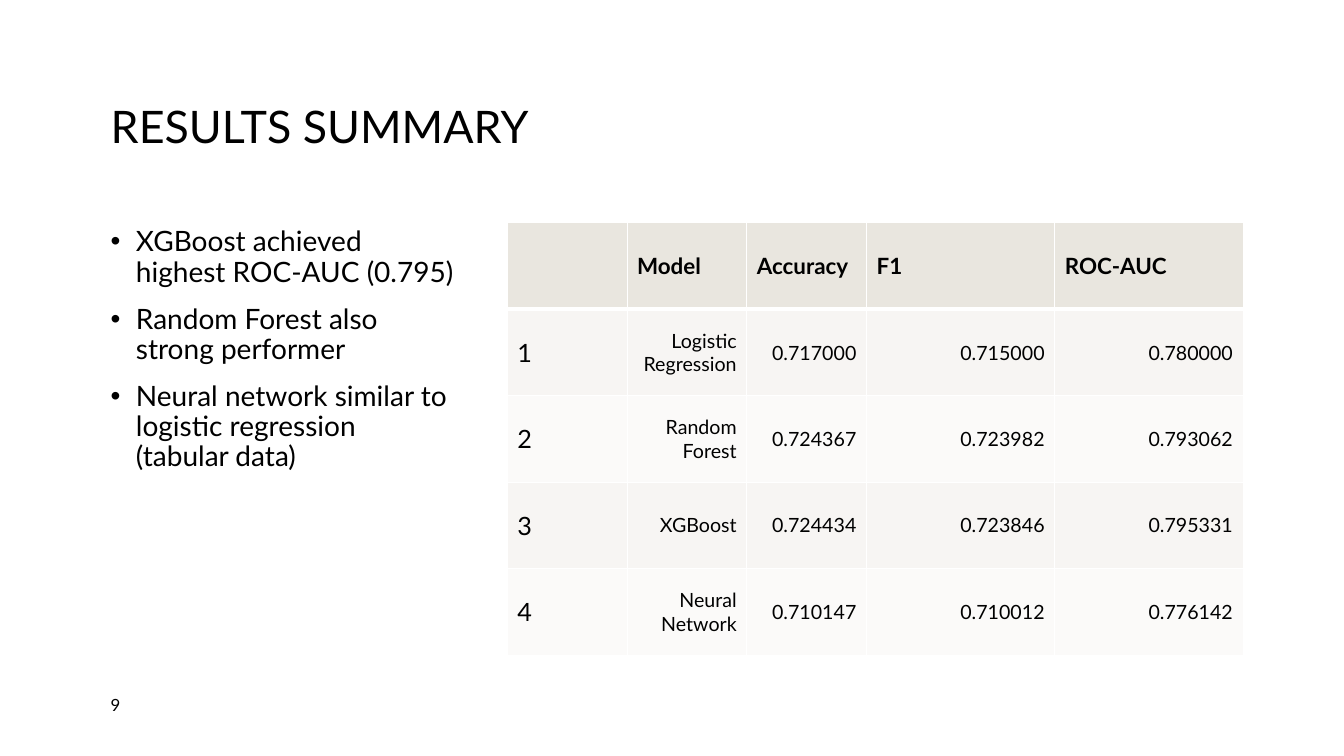
from lxml.etree import SubElement
from pptx import Presentation
from pptx.dml.color import RGBColor
from pptx.enum.text import MSO_ANCHOR, PP_ALIGN
from pptx.oxml.ns import qn
from pptx.util import Inches, Pt

COLORS = {"text": "000000", "line": "FFFFFF", "header": "E9E6DF",
          "odd": "F7F5F3", "even": "FBFAF9"}
RESULTS = [
    ("", "Model", "Accuracy", "F1", "ROC-AUC"),
    ("1", "Logistic Regression", "0.717000", "0.715000", "0.780000"),
    ("2", "Random Forest", "0.724367", "0.723982", "0.793062"),
    ("3", "XGBoost", "0.724434", "0.723846", "0.795331"),
    ("4", "Neural Network", "0.710147", "0.710012", "0.776142"),
]
FINDINGS = [
    "XGBoost achieved highest ROC-AUC (0.795)",
    "Random Forest also strong performer",
    "Neural network similar to logistic regression (tabular data)",
]


class Deck:
    """Holds the style and current slide, measured on a grid of 40 columns by 30 rows."""

    font = "Lato"

    def __init__(self):
        self.prs = Presentation()
        self.prs.slide_width, self.prs.slide_height = Inches(13.33), Inches(7.5)
        self.col, self.row = self.prs.slide_width / 40, self.prs.slide_height / 30
        self.s = self.prs.slides.add_slide(self.prs.slide_layouts[6])

    def box(self, x, y, w, h):
        return int(x * self.col), int(y * self.row), int(w * self.col), int(h * self.row)

    def add_text(self, p, text, size=14, bold=False, align=PP_ALIGN.LEFT,
                 spacing=1.0, after=0, bullet=False):
        if bullet:
            pPr = p._p.get_or_add_pPr()
            pPr.set("marL", str(Inches(0.25)))
            pPr.set("indent", str(Inches(-0.25)))
            SubElement(pPr, qn("a:buFont"), typeface="Arial")
            SubElement(pPr, qn("a:buChar"), char="•")
        p.alignment, p.line_spacing, p.space_after = align, spacing, Pt(after)
        r = p.add_run()
        r.text = text
        r.font.name, r.font.size, r.font.bold = self.font, Pt(size), bold
        r.font.color.rgb = RGBColor.from_string(COLORS["text"])

    def text_box(self, place, lines, anchor=MSO_ANCHOR.MIDDLE, **style):
        tf = self.s.shapes.add_textbox(*self.box(*place)).text_frame
        tf.word_wrap, tf.vertical_anchor = True, anchor
        for i, line in enumerate(lines):
            self.add_text(tf.add_paragraph() if i else tf.paragraphs[0], line, **style)

    def borders(self, cell, **widths):
        tcPr = cell._tc.get_or_add_tcPr()
        for side in "LRTB":
            ln = SubElement(tcPr, qn(f"a:ln{side}"), w=str(Pt(widths.get(side, 1))))
            fill = SubElement(ln, qn("a:solidFill"))
            SubElement(fill, qn("a:srgbClr"), val=COLORS["line"])

    def table(self, place, rows, shares):
        x, y, w, h = self.box(*place)
        table = self.s.shapes.add_table(len(rows), len(shares), x, y, w, h).table
        for column, share in zip(table.columns, shares):
            column.width = int(w * share / sum(shares))
        for i, row in enumerate(rows):
            table.rows[i].height = h // len(rows)
            for j, value in enumerate(row):
                cell = table.cell(i, j)
                self.borders(cell, T=3 if i == 1 else 1, B=1 if i else 3)
                cell.fill.solid()
                shade = "header" if i == 0 else "odd" if i % 2 else "even"
                cell.fill.fore_color.rgb = RGBColor.from_string(COLORS[shade])
                cell.vertical_anchor = MSO_ANCHOR.MIDDLE
                if value:
                    size = 16 if i == 0 else 14 if j else 18
                    align = PP_ALIGN.RIGHT if i and j else PP_ALIGN.LEFT
                    self.add_text(cell.text_frame.paragraphs[0], value,
                                  size=size, bold=i == 0, align=align)


def main():
    deck = Deck()
    deck.text_box((3, 1.6, 34, 7), ["RESULTS SUMMARY"], size=32, spacing=0.9)
    deck.text_box((3, 8.84, 10.83, 17.12), FINDINGS, anchor=MSO_ANCHOR.TOP,
                  size=20, spacing=0.9, after=12, bullet=True)
    deck.table((15.1, 8.84, 21.9, 17.16), RESULTS, (1.19, 1.19, 1.19, 1.87, 1.87))
    deck.text_box((3, 27.32, 2.07, 1.28), ["9"], size=12)
    deck.prs.save("out.pptx")


if __name__ == "__main__":
    main()
